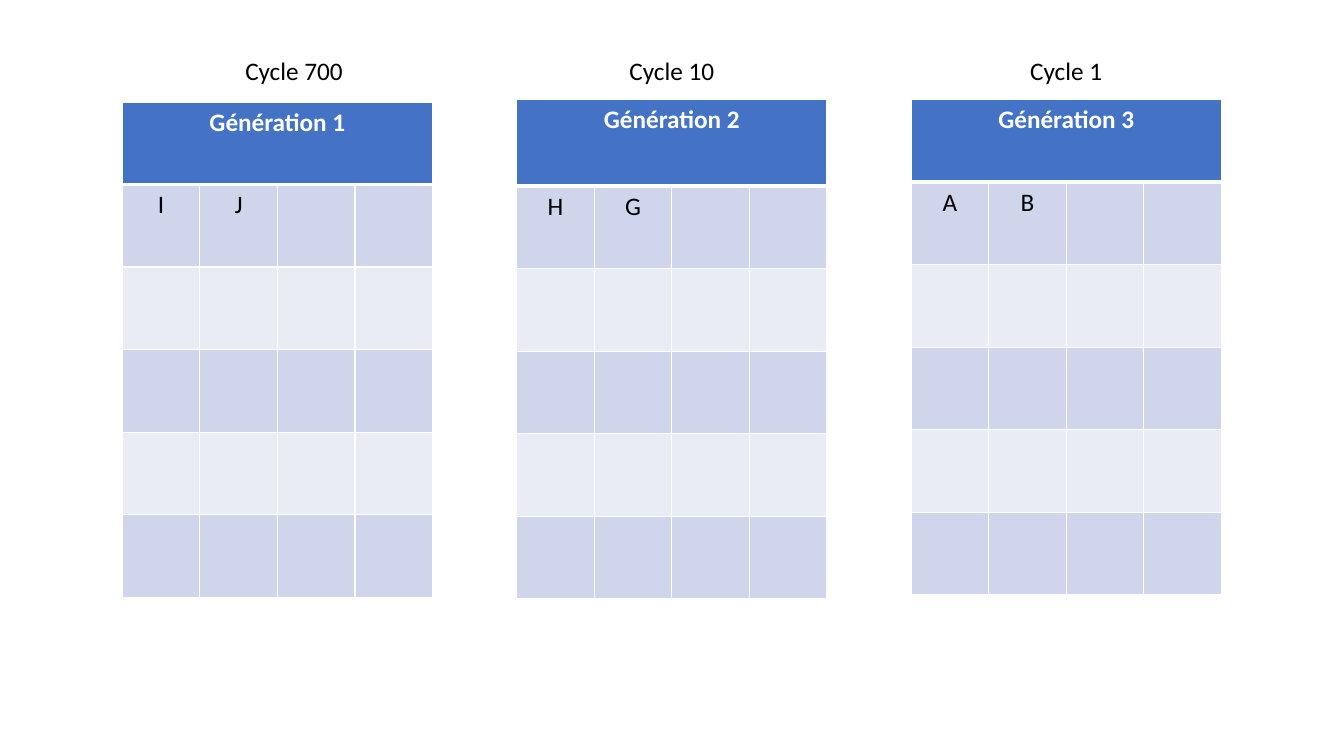
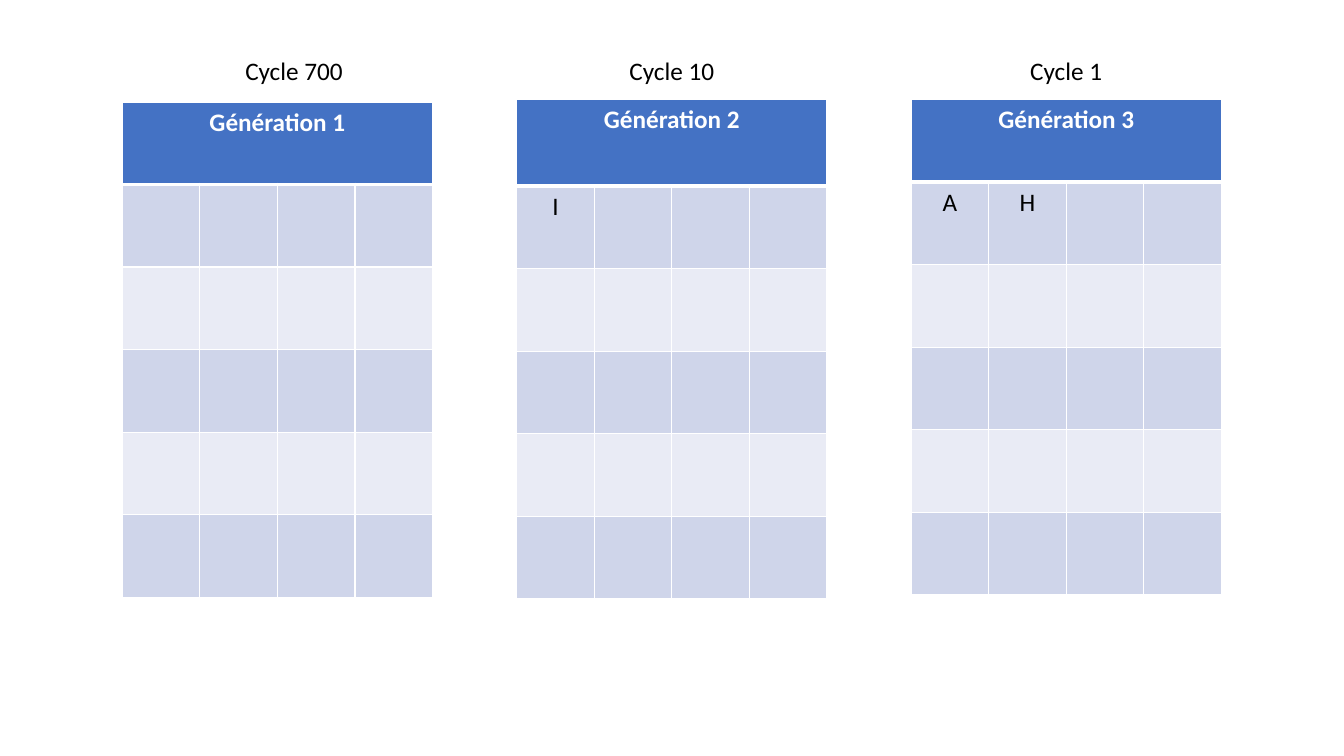
"""Build two slides that show three generation tables and their cycles."""
from lxml import etree
from pptx import Presentation
from pptx.dml.color import RGBColor
from pptx.enum.text import MSO_AUTO_SIZE, PP_ALIGN
from pptx.oxml.ns import qn
from pptx.util import Cm, Pt

CENTER = PP_ALIGN.CENTER
FIT_SHAPE = MSO_AUTO_SIZE.SHAPE_TO_FIT_TEXT

WHITE, BLACK, BLUE = "FFFFFF", "000000", "4472C4"
BANDS = ("CFD5EA", "E9EBF5")
COLUMNS, BODY_ROWS = 4, 5
TABLE_WIDTH, ROW_HEIGHT = 7.82, 2.08
FIRST_LEFT, PITCH = 3.08, 9.94

GENERATIONS = [
    {"cycle": "Cycle 700", "label_shift": 0.42, "top": 2.57, "header_height": ROW_HEIGHT},
    {"cycle": "Cycle 10", "label_shift": 0, "top": 2.51, "header_height": 2.18},
    {"cycle": "Cycle 1", "label_shift": 0, "top": 2.51, "header_height": ROW_HEIGHT},
]
SLIDE_LETTERS = [("IJ", "HG", "AB"), ("", "I", "AH")]


def color(value):
    return RGBColor.from_string(value)


class Deck:
    def __init__(self):
        self.presentation = Presentation()
        self.presentation.slide_width = Cm(33.87)
        self.presentation.slide_height = Cm(19.05)
        self.slide = None

    def add_slide(self):
        self.slide = self.presentation.slides.add_slide(self.presentation.slide_layouts[6])

    def set_text(self, frame, text, ink=BLACK, bold=False):
        frame.text = text
        paragraph = frame.paragraphs[0]
        paragraph.alignment = CENTER
        for run in paragraph.runs:
            run.font.name = "Calibri"
            run.font.size = Pt(18)
            run.font.bold = bold
            run.font.color.rgb = color(ink)

    def label(self, text, left):
        box = self.slide.shapes.add_textbox(Cm(left), Cm(1.27), Cm(TABLE_WIDTH), Cm(1.03))
        box.text_frame.word_wrap = True
        box.text_frame.auto_size = FIT_SHAPE
        self.set_text(box.text_frame, text)

    def paint(self, cell, fill, top=1, bottom=1):
        cell.fill.solid()
        cell.fill.fore_color.rgb = color(fill)
        properties = cell._tc.get_or_add_tcPr()
        widths = {"a:lnL": 1, "a:lnR": 1, "a:lnT": top, "a:lnB": bottom}
        for position, (side, width) in enumerate(widths.items()):
            border = etree.Element(qn(side), w=str(Pt(width)))
            solid = etree.SubElement(border, qn("a:solidFill"))
            etree.SubElement(solid, qn("a:srgbClr"), val=WHITE)
            properties.insert(position, border)

    def generation_table(self, title, letters, left, top, header_height):
        height = header_height + BODY_ROWS * ROW_HEIGHT
        table = self.slide.shapes.add_table(
            BODY_ROWS + 1, COLUMNS, Cm(left), Cm(top), Cm(TABLE_WIDTH), Cm(height)).table
        for column in table.columns:
            column.width = Cm(TABLE_WIDTH / COLUMNS)
        for index, row in enumerate(table.rows):
            row.height = Cm(ROW_HEIGHT if index else header_height)
            for cell in row.cells:
                if index == 0:
                    self.paint(cell, BLUE, bottom=3)
                else:
                    self.paint(cell, BANDS[(index - 1) % 2], top=3 if index == 1 else 1)
        header = table.cell(0, 0)
        header.merge(table.cell(0, COLUMNS - 1))
        self.set_text(header.text_frame, title, WHITE, True)
        for column, letter in enumerate(letters):
            self.set_text(table.cell(1, column).text_frame, letter)


deck = Deck()
for slide_letters in SLIDE_LETTERS:
    deck.add_slide()
    for index, (generation, letters) in enumerate(zip(GENERATIONS, slide_letters)):
        left = FIRST_LEFT + index * PITCH
        deck.generation_table(f"Génération {index + 1}", letters, left,
                              generation["top"], generation["header_height"])
        deck.label(generation["cycle"], left + generation["label_shift"])
deck.presentation.save("out.pptx")
